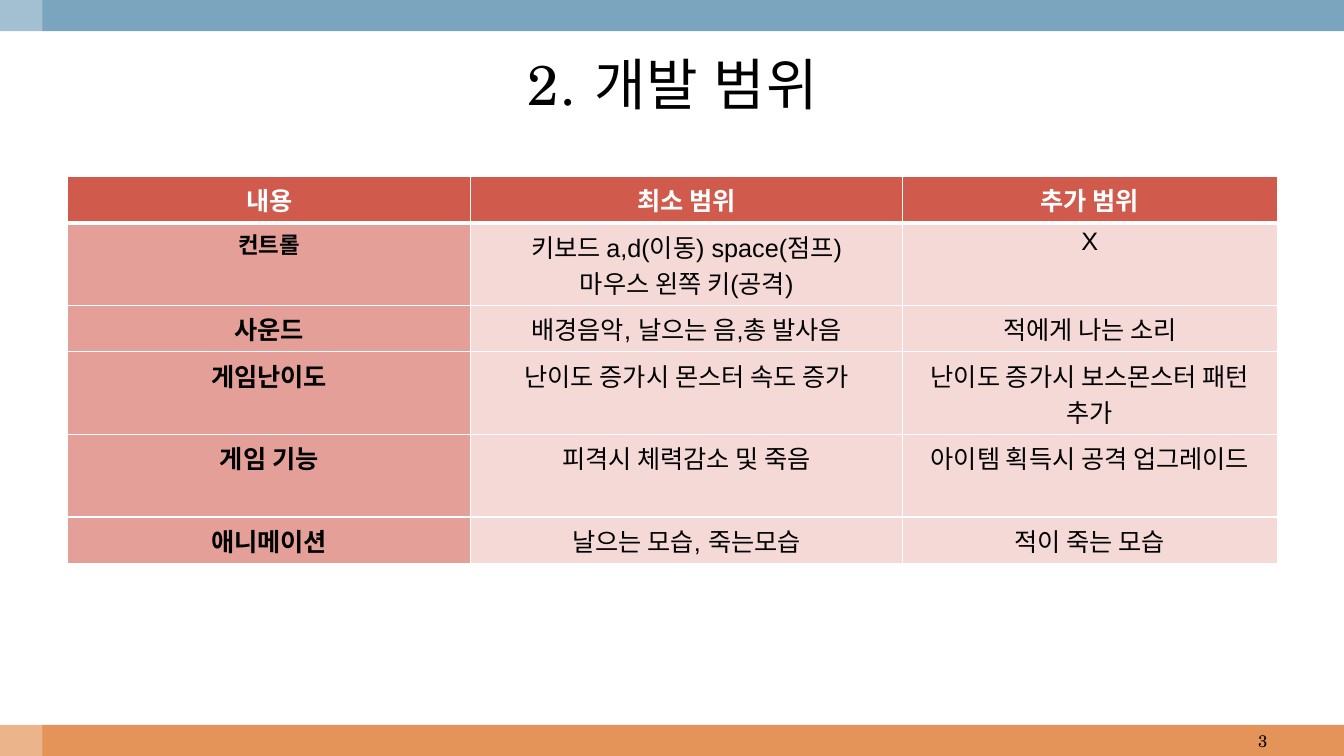
from dataclasses import dataclass
from lxml.etree import SubElement
from pptx import Presentation
from pptx.dml.color import RGBColor
from pptx.enum.shapes import MSO_SHAPE
from pptx.enum.text import MSO_ANCHOR, PP_ALIGN
from pptx.oxml import parse_xml
from pptx.oxml.ns import qn
from pptx.util import Inches, Pt

NS = "http://schemas.openxmlformats.org/drawingml/2006/main"


@dataclass(frozen=True)
class Theme:
    serif: str = "TeX Gyre Schola"
    sans: str = "Arial"
    black: str = "000000"
    white: str = "FFFFFF"
    blue: str = "7BA5BE"
    orange: str = "E49458"
    head: str = "D05B4D"
    label: str = "E4A098"
    body: str = "F4D9D6"
    title: int = 40
    text: int = 18
    small: int = 16
    page: int = 12


theme = Theme()
WIDE, HIGH = Inches(13.33), Inches(7.5)
BAND = 0.31 / 7.5
ROWS = [
    ["내용", "최소 범위", "추가 범위"],
    ["컨트롤", "키보드 a,d(이동) space(점프)\n마우스 왼쪽 키(공격)", "X"],
    ["사운드", "배경음악, 날으는 음,총 발사음", "적에게 나는 소리"],
    ["게임난이도", "난이도 증가시 몬스터 속도 증가", "난이도 증가시 보스몬스터 패턴 추가"],
    ["게임 기능", "피격시 체력감소 및 죽음", "아이템 획득시 공격 업그레이드"],
    ["애니메이션", "날으는 모습, 죽는모습", "적이 죽는 모습"],
]
COLS = [4, 4.28, 3.72]
TALL = [0.46, 0.82, 0.46, 0.82, 0.82, 0.46]


def apply(item, values):
    for name, value in values.items():
        setattr(item, name, value)


def part(box, left, top, wide, high):
    x, y, w, h = box
    return (int(x + w * left), int(y + h * top), int(w * wide), int(h * high))


def write(frame, text, align, size, color, font=theme.serif, bold=False):
    frame.text = text
    for line in frame.paragraphs:
        line.alignment = align
        for run in line.runs:
            apply(run.font, {"name": font, "size": Pt(size), "bold": bold})
            run.font.color.rgb = RGBColor.from_string(color)


def block(slide, box, color, alpha=None):
    shape = slide.shapes.add_shape(MSO_SHAPE.RECTANGLE, *box)
    shape.shadow.inherit = False
    shape.fill.solid()
    shape.fill.fore_color.rgb = RGBColor.from_string(color)
    shape.line.fill.background()
    if alpha is not None:
        tint = shape.fill._xPr.find(".//" + qn("a:srgbClr"))
        SubElement(tint, qn("a:alpha"), val=str(alpha * 1000))


def label(slide, box, text, align, size):
    frame = slide.shapes.add_textbox(*box).text_frame
    apply(frame, {"word_wrap": True, "vertical_anchor": MSO_ANCHOR.MIDDLE})
    write(frame, text, align, size, theme.black)
    return frame


def bands(slide, box):
    block(slide, part(box, 0, 1 - BAND, 1, BAND), theme.orange)
    block(slide, part(box, 0, 0, 1, BAND), theme.blue)
    block(slide, part(box, 0, 0, 0.42 / 13.33, 1), theme.white, 30)


def title(slide, box):
    frame = label(slide, box, "2. 개발 범위", PP_ALIGN.CENTER, theme.title)
    for run in frame.paragraphs[0].runs:
        run.font._element.set("spc", "100")


def edges(cell, row):
    props = cell._tc.get_or_add_tcPr()
    thick = {"L": 1, "R": 1, "T": 3 if row == 1 else 1, "B": 3 if row == 0 else 1}
    for spot, (side, width) in enumerate(thick.items()):
        props.insert(spot, parse_xml(
            f'<a:ln{side} xmlns:a="{NS}" w="{Pt(width)}"><a:solidFill>'
            f'<a:srgbClr val="{theme.white}"/></a:solidFill></a:ln{side}>'))


def style(row, col):
    if row == 0:
        return theme.head, (theme.text, theme.white, theme.serif, True)
    if col == 0:
        size = theme.small if row == 1 else theme.text
        return theme.label, (size, theme.black, theme.serif, True)
    return theme.body, (theme.text, theme.black, theme.sans, False)


def scope(slide, box):
    table = slide.shapes.add_table(len(ROWS), len(COLS), *box).table
    for col, share in zip(table.columns, COLS):
        col.width = int(box[2] * share / sum(COLS))
    for row, share in zip(table.rows, TALL):
        row.height = int(box[3] * share / sum(TALL))
    for row, texts in enumerate(ROWS):
        for col, text in enumerate(texts):
            cell = table.cell(row, col)
            fill, look = style(row, col)
            cell.fill.solid()
            cell.fill.fore_color.rgb = RGBColor.from_string(fill)
            apply(cell, {"margin_left": Inches(0.11), "margin_right": Inches(0.11),
                         "margin_top": Inches(0.05), "margin_bottom": Inches(0.05)})
            write(cell.text_frame, text, PP_ALIGN.CENTER, *look)
            edges(cell, row)


def build(slide, box):
    bands(slide, box)
    title(slide, part(box, 0.44 / 13.33, BAND, 12.47 / 13.33, 1.03 / 7.5))
    scope(slide, part(box, 0.67 / 13.33, 1.75 / 7.5, 12 / 13.33, sum(TALL) / 7.5))
    page = part(box, 9.56 / 13.33, 1 - BAND, 3.11 / 13.33, BAND)
    label(slide, page, "3", PP_ALIGN.RIGHT, theme.page)


deck = Presentation()
apply(deck, {"slide_width": WIDE, "slide_height": HIGH})
build(deck.slides.add_slide(deck.slide_layouts[6]), (0, 0, WIDE, HIGH))
deck.save("out.pptx")
